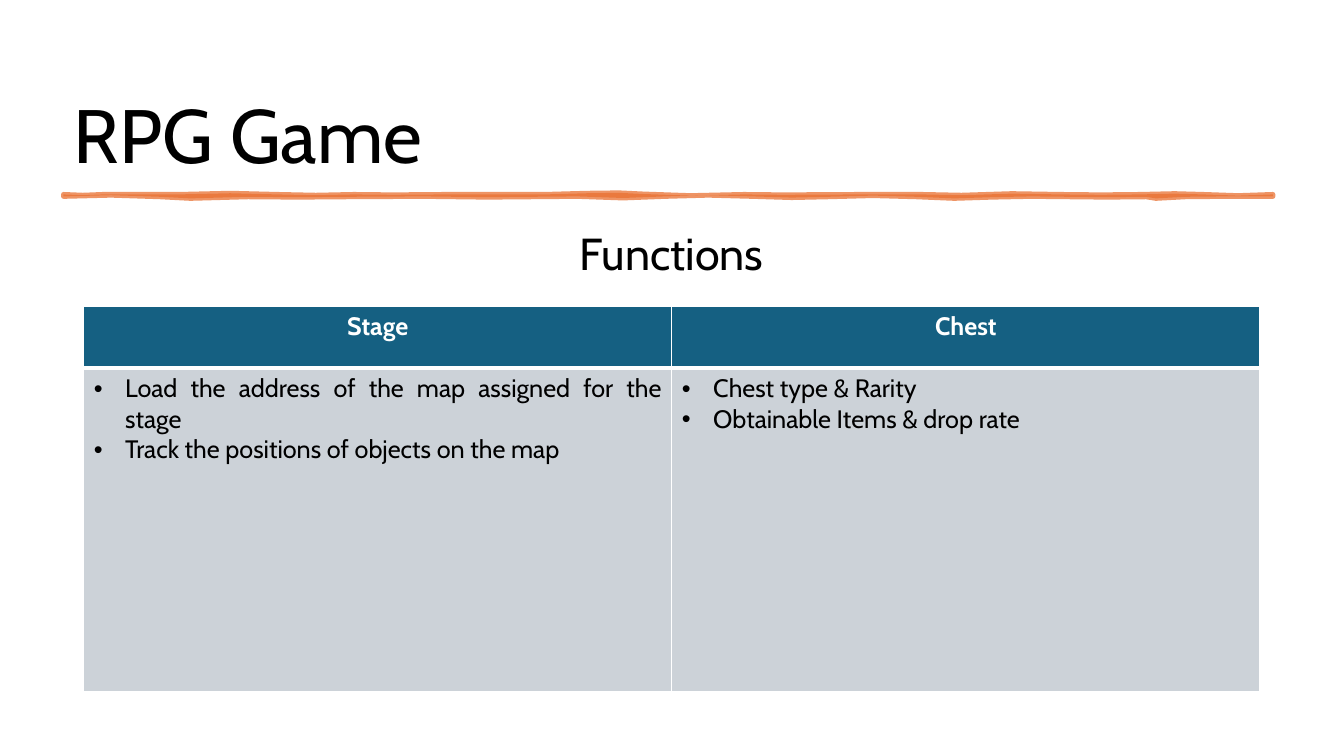
from dataclasses import dataclass

from lxml.etree import SubElement
from pptx import Presentation
from pptx.dml.color import RGBColor
from pptx.enum.text import MSO_ANCHOR, MSO_AUTO_SIZE, PP_ALIGN
from pptx.oxml.ns import qn
from pptx.util import Cm, Pt


@dataclass(frozen=True)
class Theme:
    face: str = "Cabin"
    ink: str = "000000"
    paper: str = "FFFFFF"
    head: str = "156082"
    body: str = "CCD2D8"
    brush: str = "E97132"
    title: int = 54
    sub: int = 32
    cell: int = 18


theme = Theme()


def style(para, size, color, align, bold=False):
    para.alignment = align
    look = {"name": theme.face, "size": Pt(size), "bold": bold}
    for key, value in look.items():
        setattr(para.font, key, value)
    para.font.color.rgb = RGBColor.from_string(color)


def border(cell, sides):
    props = cell._tc.get_or_add_tcPr()
    for side, width in sides.items():
        line = SubElement(props, qn(f"a:ln{side}"), w=str(Pt(width)))
        fill = SubElement(line, qn("a:solidFill"))
        SubElement(fill, qn("a:srgbClr"), val=theme.paper)


deck = Presentation()
deck.slide_width, deck.slide_height = Cm(33.87), Cm(19.05)
slide = deck.slides.add_slide(deck.slide_layouts[5])

# Title
title = slide.shapes.title
place = {"left": 1.6, "top": 0.66, "width": 30.68, "height": 3.99}
for key, value in place.items():
    setattr(title, key, Cm(value))
frame = title.text_frame
frame.text = "RPG Game"
form = {"vertical_anchor": MSO_ANCHOR.BOTTOM, "word_wrap": True,
        "auto_size": MSO_AUTO_SIZE.NONE}
for key, value in form.items():
    setattr(frame, key, value)
style(frame.paragraphs[0], theme.title, theme.ink, PP_ALIGN.LEFT)
frame.paragraphs[0].line_spacing = 0.9

# Brush stroke under the title: upper edge, then lower edge back, in 0.1 mm
upper = [(160, 490), (209, 492), (259, 490), (450, 490), (580, 487),
         (701, 490), (796, 492), (892, 490), (990, 491), (1120, 490),
         (1372, 490), (1480, 487), (1560, 486), (1623, 489), (1740, 493),
         (1875, 490), (1974, 491), (2164, 490), (2324, 490), (2423, 492),
         (2550, 488), (2675, 490), (2774, 491), (2873, 490), (2960, 488),
         (3033, 490), (3120, 493), (3208, 490)]
lower = [(3208, 495), (3090, 495), (2987, 496), (2913, 500), (2888, 496),
         (2789, 497), (2598, 495), (2499, 497), (2405, 500), (2309, 496),
         (2200, 493), (2088, 496), (1995, 498), (1897, 495), (1785, 492),
         (1676, 495), (1570, 499), (1455, 495), (1227, 497), (1067, 495),
         (876, 496), (750, 497), (625, 496), (480, 500), (404, 496),
         (280, 492), (160, 495)]
path = slide.shapes.build_freeform(*upper[0], scale=Cm(0.01))
path.add_line_segments(upper[1:] + lower, close=True)
stroke = path.convert_to_shape()
stroke.shadow.inherit = False
stroke.fill.solid()
stroke.line.width = Pt(3.5)
for paint in (stroke.fill, stroke.line.fill):
    paint.solid()
    paint.fore_color.rgb = RGBColor.from_string(theme.brush)
for color in stroke._element.spPr.iter(qn("a:srgbClr")):
    SubElement(color, qn("a:alpha"), val="75000")

# Subtitle
box = slide.shapes.add_textbox(Cm(13.16), Cm(5.56), Cm(7.54), Cm(1.63))
frame = box.text_frame
frame.word_wrap = True
frame.text = "Functions"
style(frame.paragraphs[0], theme.sub, theme.ink, PP_ALIGN.CENTER)

# Table of functions
parts = {
    "Stage": ["Load the address of the map assigned for the stage",
              "Track the positions of objects on the map"],
    "Chest": ["Chest type & Rarity", "Obtainable Items & drop rate"],
}
table = slide.shapes.add_table(2, len(parts), Cm(2.11), Cm(7.72),
                               Cm(29.64), Cm(9.7)).table
for row, height in zip(table.rows, (1.55, 8.15)):
    row.height = Cm(height)

for col, (name, items) in enumerate(parts.items()):
    head, body = table.cell(0, col), table.cell(1, col)
    border(head, {"L": 1, "R": 1, "T": 1, "B": 3})
    border(body, {"L": 1, "R": 1, "T": 3, "B": 1})
    for cell, color in ((head, theme.head), (body, theme.body)):
        cell.fill.solid()
        cell.fill.fore_color.rgb = RGBColor.from_string(color)
    head.text = name
    style(head.text_frame.paragraphs[0], theme.cell, theme.paper,
          PP_ALIGN.CENTER, True)
    body.text = "\n".join(items)
    for para in body.text_frame.paragraphs:
        props = para._p.get_or_add_pPr()
        props.set("marL", str(Cm(0.79)))
        props.set("indent", str(-Cm(0.79)))
        SubElement(props, qn("a:buFont"), typeface="Arial")
        SubElement(props, qn("a:buChar"), char="•")
        style(para, theme.cell, theme.ink, PP_ALIGN.JUSTIFY)

deck.save("out.pptx")
